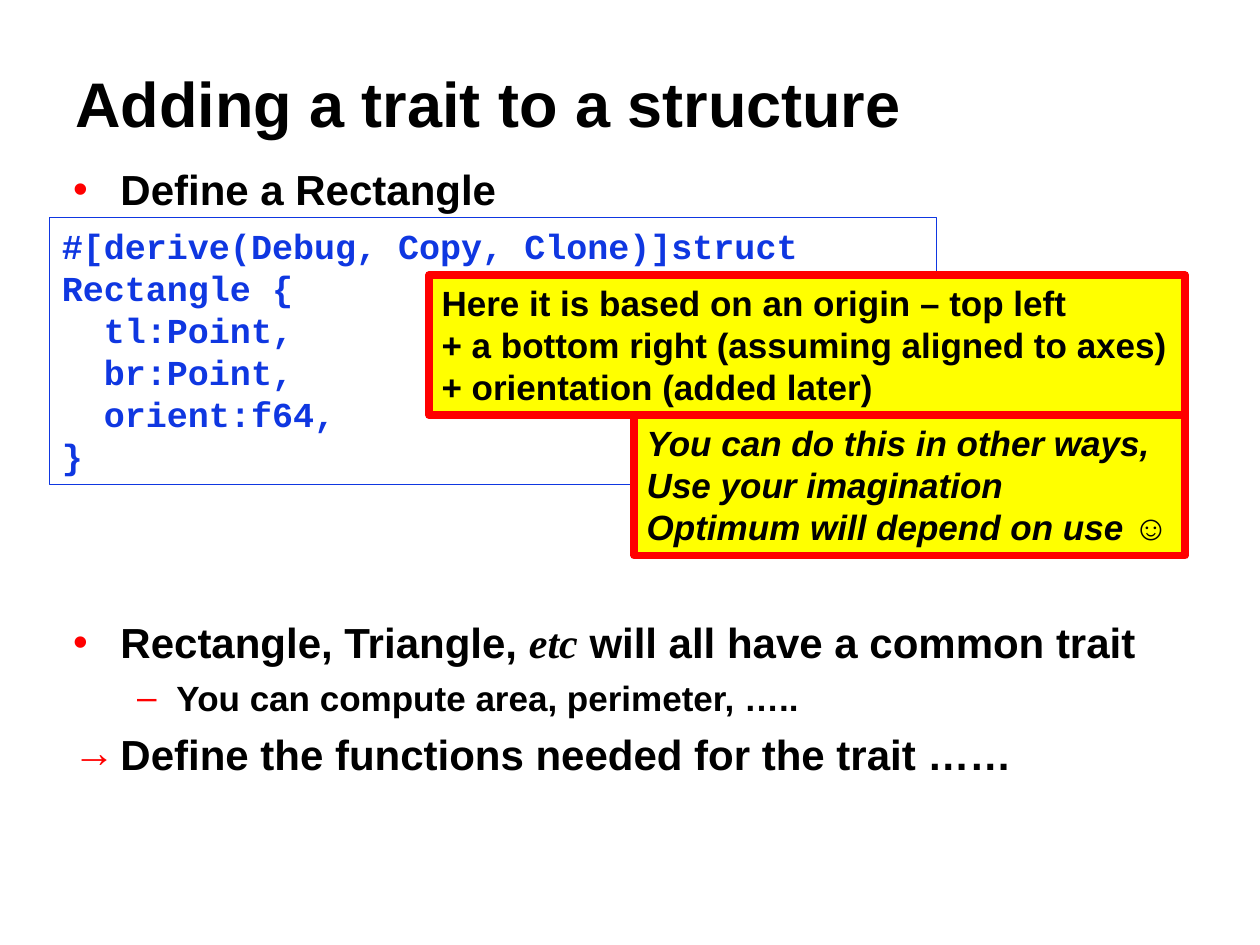
from lxml.etree import SubElement
from pptx import Presentation
from pptx.dml.color import RGBColor
from pptx.enum.shapes import MSO_SHAPE
from pptx.enum.text import MSO_ANCHOR, MSO_AUTO_SIZE, PP_ALIGN
from pptx.oxml.ns import qn
from pptx.util import Pt

BLACK, RED, YELLOW, BLUE = "000000", "FF0000", "FFFF00", "0F37E1"
LEVELS = [(24, 31.5, -27), (20, 63.5, -22.5)]

CODE = """#[derive(Debug, Copy, Clone)]struct Rectangle {
  tl:Point,
  br:Point,
  orient:f64,\v}"""
ORIGIN_NOTE = """Here it is based on an origin – top left
+ a bottom right (assuming aligned to axes)
+ orientation (added later)"""
OTHER_WAYS_NOTE = """You can do this in other ways,
Use your imagination
Optimum will depend on use ☺"""


def rgb(color):
    """Turn a hex string into a colour."""
    return RGBColor.from_string(color)


def style_run(r, size, color=BLACK, font="Arial", italic=False):
    """Format one run in bold."""
    r.font.name, r.font.size = font, Pt(size)
    r.font.bold, r.font.italic = True, italic
    r.font.color.rgb = rgb(color)


def add_text_box(slide, left, top, width, height):
    """Add a wrapping text box and return its text frame."""
    tf = slide.shapes.add_textbox(Pt(left), Pt(top), Pt(width), Pt(height)).text_frame
    tf.word_wrap = True
    return tf


def add_title(slide, text):
    """Add the slide title."""
    tf = add_text_box(slide, 36, 21.6, 647.5, 74)
    tf.vertical_anchor = MSO_ANCHOR.MIDDLE
    tf.text = text
    style_run(tf.paragraphs[0].runs[0], 36)


def add_bullet(p, parts, mark="•", level=0, before=5.5):
    """Fill a paragraph with a red bullet and (text, italic serif) parts."""
    size, margin, indent = LEVELS[level]
    p.level = level
    p.space_before = Pt(before)
    pPr = p._p.get_or_add_pPr()
    pPr.set("marL", str(Pt(margin)))
    pPr.set("indent", str(Pt(indent)))
    SubElement(SubElement(pPr, qn("a:buClr")), qn("a:srgbClr"), val=RED)
    SubElement(pPr, qn("a:buFont"), typeface="Arial")
    SubElement(pPr, qn("a:buChar"), char=mark)
    for text, serif in parts:
        r = p.add_run()
        r.text = text
        style_run(r, size, font="Times New Roman" if serif else "Arial", italic=serif)


def add_panel(slide, box, text, line, weight, fill=None, wrap=False, **font):
    """Add an outlined rectangle of left-aligned text."""
    sp = slide.shapes.add_shape(MSO_SHAPE.RECTANGLE, *map(Pt, box))
    sp.shadow.inherit = False
    sp.line.color.rgb, sp.line.width = rgb(line), Pt(weight)
    if fill:
        sp.fill.solid()
        sp.fill.fore_color.rgb = rgb(fill)
    else:
        sp.fill.background()
    tf = sp.text_frame
    tf.word_wrap = wrap
    tf.auto_size = MSO_AUTO_SIZE.SHAPE_TO_FIT_TEXT
    tf.vertical_anchor = MSO_ANCHOR.TOP
    tf.text = text
    for p in tf.paragraphs:
        p.alignment = PP_ALIGN.LEFT
        for r in p.runs:
            style_run(r, 20, **font)


def main():
    """Build and save the slide."""
    prs = Presentation()
    prs.slide_width, prs.slide_height = Pt(720), Pt(540)
    slide = prs.slides.add_slide(prs.slide_layouts[6])

    add_title(slide, "Adding a trait to a structure")
    tf = add_text_box(slide, 30.25, 90, 678.25, 437.75)
    add_bullet(tf.paragraphs[0], [("Define a Rectangle", False)], before=0)
    common = [("Rectangle, Triangle, ", False), ("etc", True),
              (" will all have a common trait", False)]
    add_bullet(tf.add_paragraph(), common, before=230)
    add_bullet(tf.add_paragraph(), [("You can compute area, perimeter, …..", False)], "–", 1)
    add_bullet(tf.add_paragraph(),
               [("Define the functions needed for the trait ……", False)], "→")

    add_panel(slide, (28.25, 124.5, 507, 152.5), CODE, BLUE, 0.75, wrap=True,
              color=BLUE, font="Courier New")
    add_panel(slide, (245.25, 157.25, 432, 80), ORIGIN_NOTE, RED, 4.5, YELLOW)
    add_panel(slide, (362.5, 237.5, 314.75, 80), OTHER_WAYS_NOTE, RED, 4.5, YELLOW,
              italic=True)
    prs.save("out.pptx")


if __name__ == "__main__":
    main()
